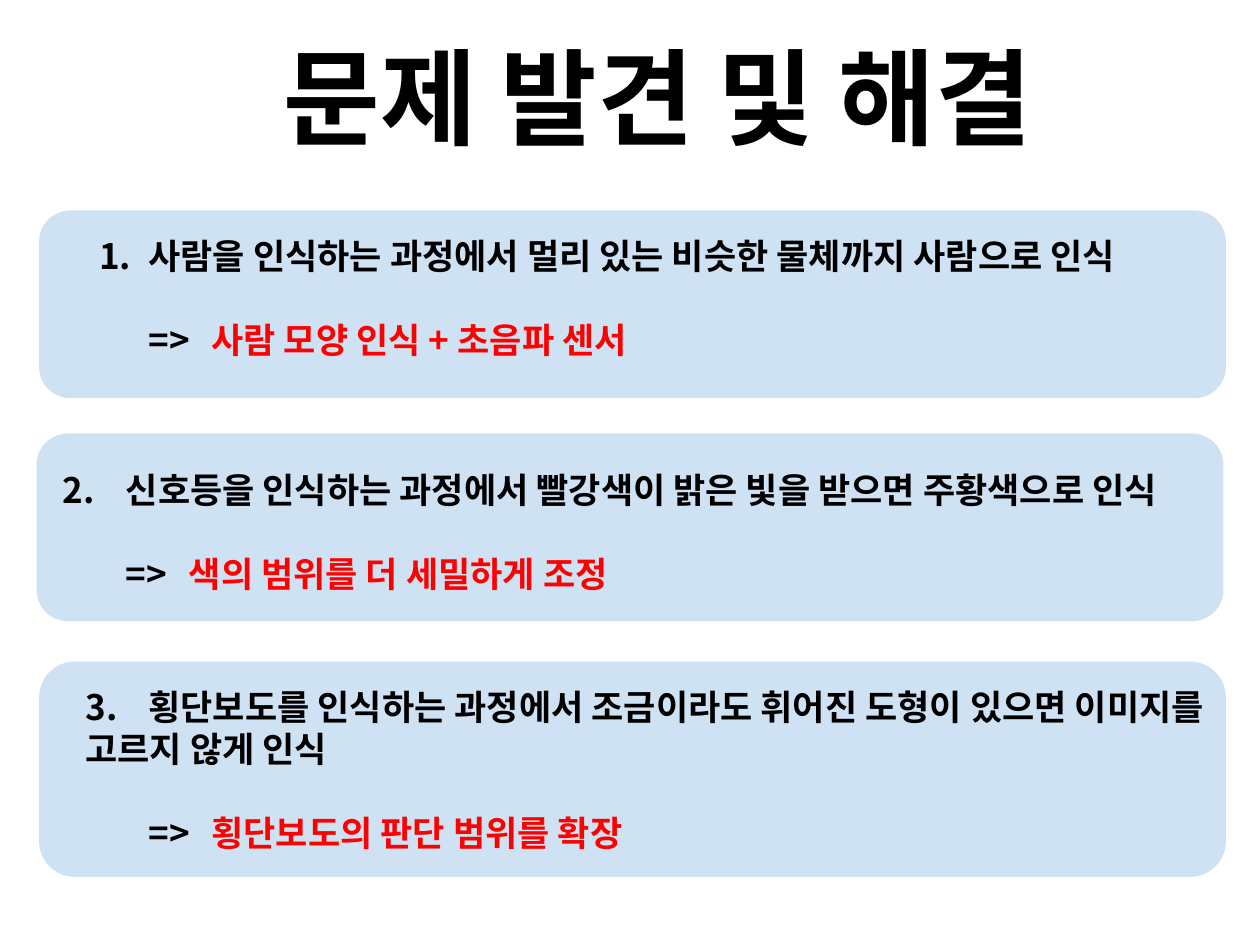
from pptx import Presentation
from pptx.dml.color import RGBColor
from pptx.enum.shapes import MSO_SHAPE
from pptx.enum.text import MSO_ANCHOR, PP_ALIGN
from pptx.oxml.ns import qn
from pptx.util import Inches, Pt
from lxml.etree import SubElement

COLORS = {"text": "000000", "answer": "FF0000", "panel": "CFE2F3"}
FONT = "Noto Sans CJK KR"
INDENT = 0.5      # start of the text after its number
ANSWER_TAB = 0.45  # gap from the arrow to the answer


class Deck:
    def __init__(self, width, height):
        self.prs = Presentation()
        self.prs.slide_width, self.prs.slide_height = Inches(width), Inches(height)
        self.s = self.prs.slides.add_slide(self.prs.slide_layouts[5])

    def place(self, sp, box):
        for name, value in zip(("left", "top", "width", "height"), box):
            setattr(sp, name, Inches(value))

    def run(self, p, text, size, color="text"):
        r = p.add_run()
        r.text = text
        for name, value in {"name": FONT, "size": Pt(size), "bold": True}.items():
            setattr(r.font, name, value)
        r.font.color.rgb = RGBColor.from_string(COLORS[color])
        SubElement(r._r.get_or_add_rPr(), qn("a:ea"), typeface=FONT)

    def frame(self, tf, anchor, inset):
        values = {"word_wrap": True, "vertical_anchor": anchor,
                  "margin_left": Inches(0.1), "margin_right": Inches(0.1),
                  "margin_top": Inches(inset), "margin_bottom": Inches(inset)}
        for name, value in values.items():
            setattr(tf, name, value)

    def indent(self, p, left, first=0, number=False, tab=None):
        pPr = p._p.get_or_add_pPr()
        pPr.set("marL", str(Inches(left)))
        pPr.set("indent", str(Inches(first)))
        if number:
            SubElement(pPr, qn("a:buFont"), typeface=FONT)
            SubElement(pPr, qn("a:buAutoNum"), type="arabicPeriod")
        if tab:
            tabs = SubElement(pPr, qn("a:tabLst"))
            SubElement(tabs, qn("a:tab"), pos=str(Inches(tab)), algn="l")

    def title(self, text, box):
        sp = self.s.shapes.title
        self.place(sp, box)
        self.frame(sp.text_frame, MSO_ANCHOR.MIDDLE, 0.05)
        p = sp.text_frame.paragraphs[0]
        p.alignment = PP_ALIGN.CENTER
        self.run(p, text, 60)

    def panel(self, box):
        sp = self.s.shapes.add_shape(MSO_SHAPE.ROUNDED_RECTANGLE, *map(Inches, box))
        sp.adjustments[0] = 0.167
        sp.shadow.inherit = False
        sp.fill.solid()
        sp.fill.fore_color.rgb = RGBColor.from_string(COLORS["panel"])
        sp.line.fill.background()

    def issue(self, box, problem, answer, number=False):
        tf = self.s.shapes.add_textbox(*map(Inches, box)).text_frame
        self.frame(tf, MSO_ANCHOR.TOP, 0.1)
        # Problem
        p = tf.paragraphs[0]
        if number:
            self.indent(p, INDENT, -0.39, number=True)
        else:
            self.indent(p, 0, tab=INDENT)
        p.line_spacing = Pt(24)
        self.run(p, problem, 20)
        # Answer, one line further down
        p = tf.add_paragraph()
        self.indent(p, INDENT, tab=INDENT + ANSWER_TAB)
        p.line_spacing = p.space_before = Pt(24)
        self.run(p, "=>\t", 20)
        self.run(p, answer, 20, "answer")


def main():
    deck = Deck(10, 7.5)
    deck.title("문제 발견 및 해결", (0.72, 0.13, 9, 1.25))

    # Panel box, text box, problem, answer, automatic number
    issues = [
        ((0.31, 1.67, 9.42, 1.49), (0.58, 1.76, 9, 1.24),
         "사람을 인식하는 과정에서 멀리 있는 비슷한 물체까지 사람으로 인식",
         "사람 모양 인식 + 초음파 센서", True),
        ((0.29, 3.44, 9.42, 1.49), (0.4, 3.62, 9.42, 1.24),
         "2.\t신호등을 인식하는 과정에서 빨강색이 밝은 빛을 받으면 주황색으로 인식",
         "색의 범위를 더 세밀하게 조정", False),
        ((0.31, 5.25, 9.42, 1.71), (0.58, 5.34, 9.14, 1.24),
         "3.\t횡단보도를 인식하는 과정에서 조금이라도 휘어진 도형이 있으면 "
         "이미지를 고르지 않게 인식",
         "횡단보도의 판단 범위를 확장", False),
    ]
    for panel, box, problem, answer, number in issues:
        deck.panel(panel)
        deck.issue(box, problem, answer, number)

    deck.prs.save("out.pptx")


if __name__ == "__main__":
    main()
